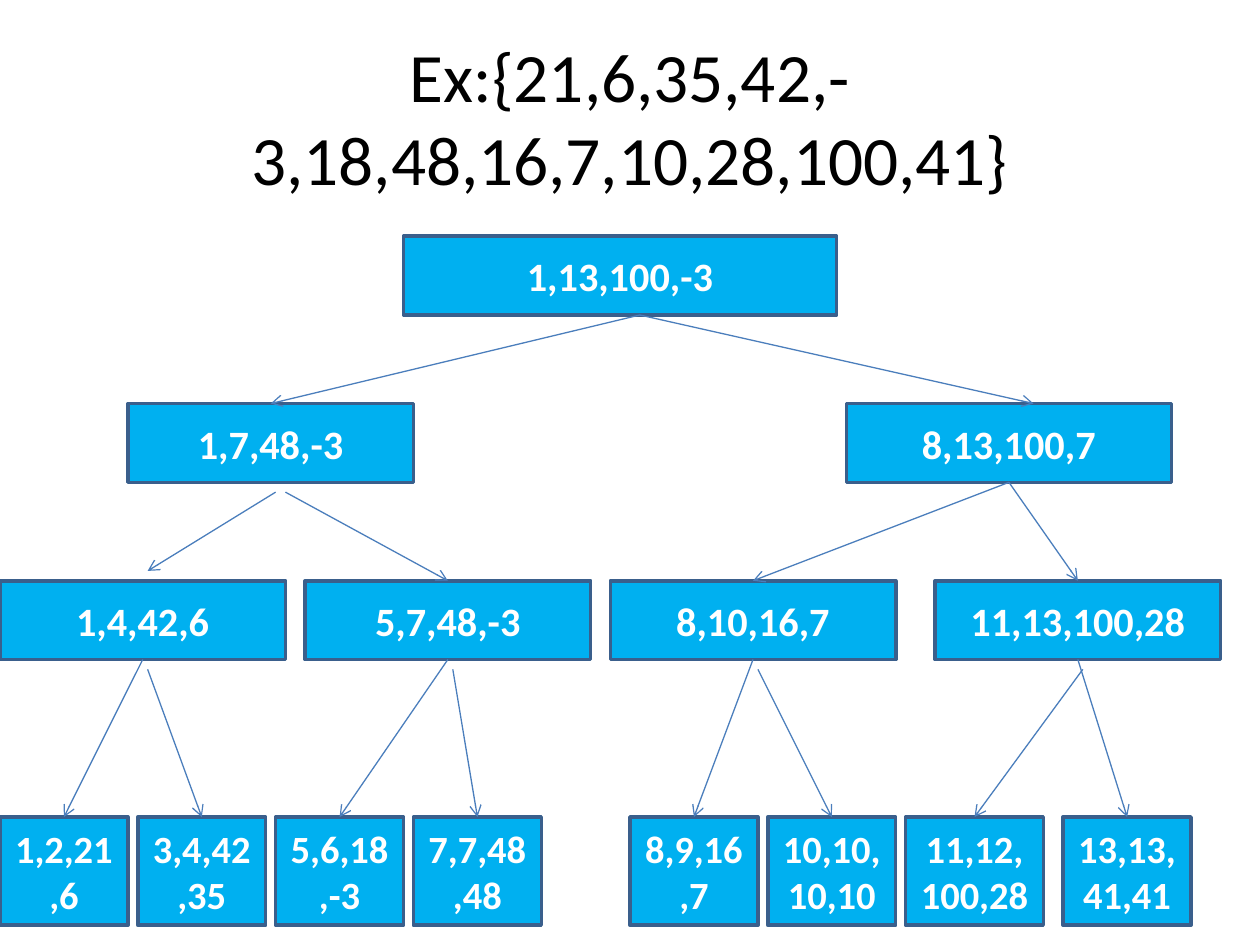
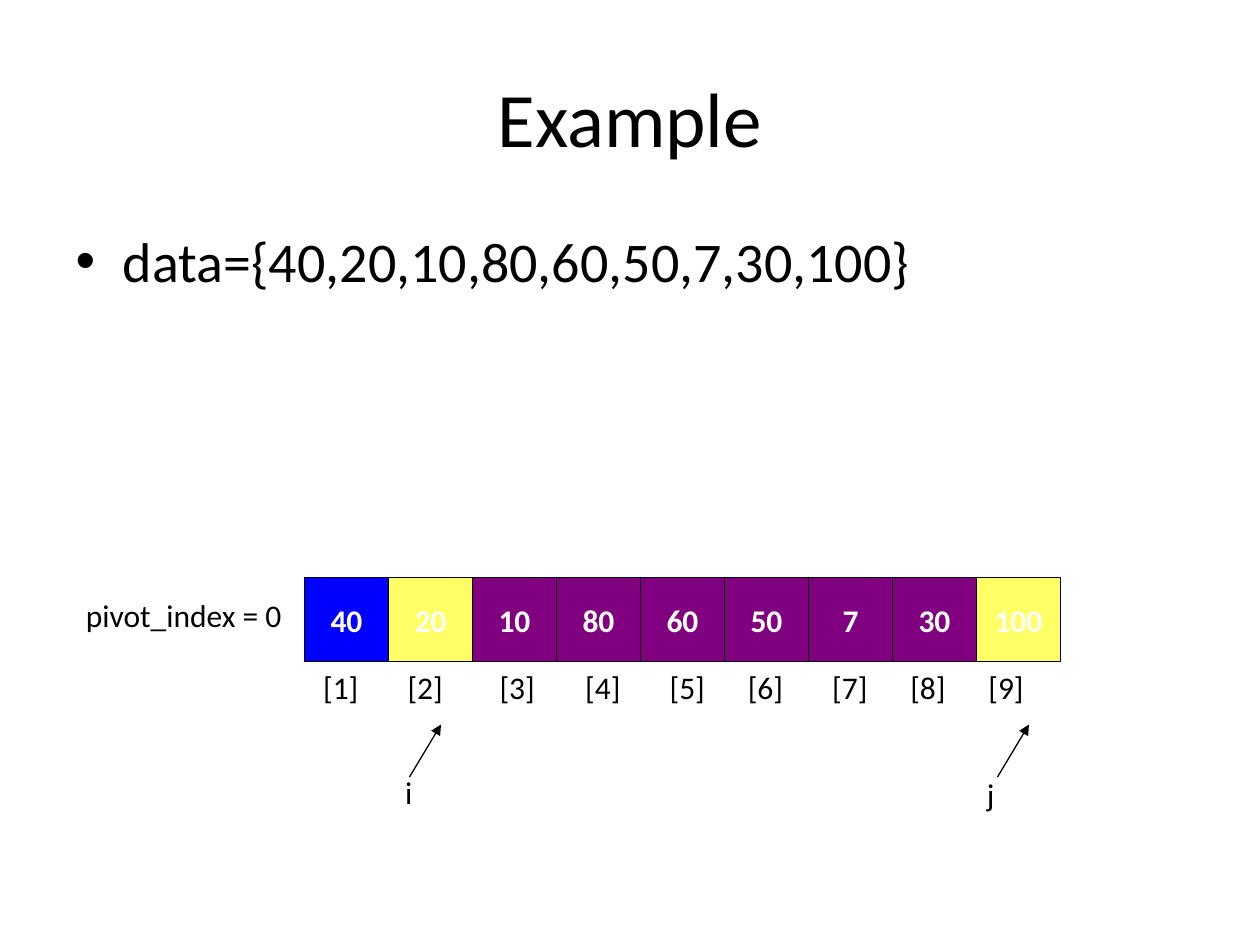
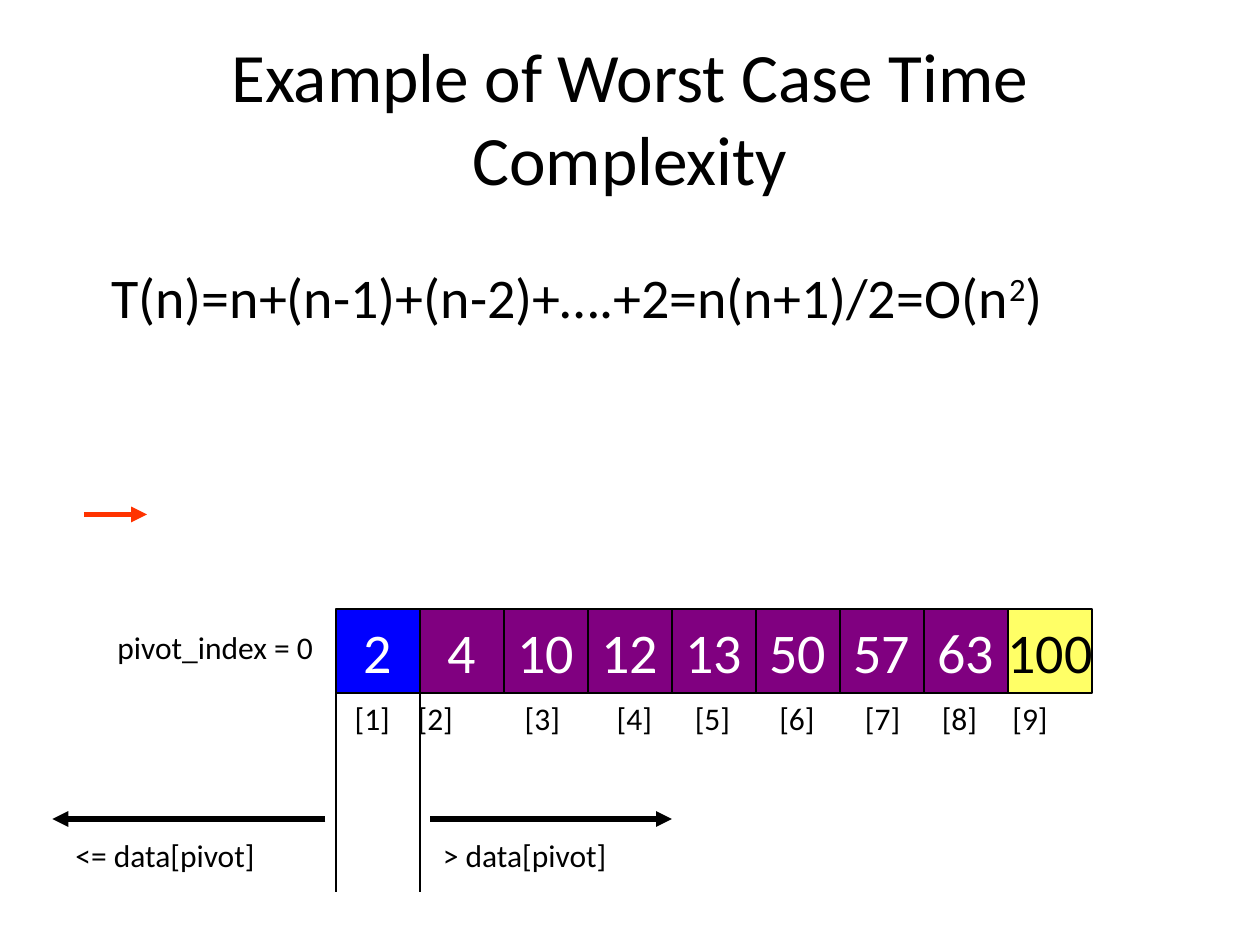
from dataclasses import dataclass

from lxml import etree
from pptx import Presentation
from pptx.dml.color import RGBColor
from pptx.enum.shapes import MSO_CONNECTOR, MSO_SHAPE
from pptx.enum.text import MSO_ANCHOR, MSO_AUTO_SIZE, PP_ALIGN
from pptx.oxml.ns import qn
from pptx.util import Inches, Pt

RECTANGLE = MSO_SHAPE.RECTANGLE
STRAIGHT = MSO_CONNECTOR.STRAIGHT
LEFT, CENTER = PP_ALIGN.LEFT, PP_ALIGN.CENTER
TOP, MIDDLE = MSO_ANCHOR.TOP, MSO_ANCHOR.MIDDLE
TOP_SITE, BOTTOM_SITE = 0, 2
CONTENT_LAYOUT, TITLE_LAYOUT = 1, 5
SLIDE_WIDTH, SLIDE_HEIGHT = 10, 7.5


@dataclass(frozen=True)
class Theme:
    font: str = "Calibri"
    black: str = "000000"
    white: str = "FFFFFF"
    node: str = "00B0F0"
    node_border: str = "3A5F8C"
    edge: str = "4B7EBC"
    pivot: str = "0000FF"
    marked: str = "FFFF66"
    value: str = "800080"
    alert: str = "FF3300"
    title: float = 44
    long_title: float = 39.6
    body: float = 32
    node_text: float = 23
    leaf_text: float = 22
    label: float = 18
    thin: float = 0.75
    border: float = 2
    thick: float = 3


THEME = Theme()


@dataclass(frozen=True)
class Grid:
    """Square grid whose origin sits at left, top; unit is one column in inches."""
    unit: float
    left: float = 0
    top: float = 0

    def point(self, column, row):
        return (Inches(self.left + column * self.unit),
                Inches(self.top + row * self.unit))

    def box(self, column, row, columns, rows):
        return (*self.point(column, row),
                Inches(columns * self.unit), Inches(rows * self.unit))

    def inner(self, column, row):
        return Grid(self.unit, self.left + column * self.unit,
                    self.top + row * self.unit)


TREE_GRID = Grid(SLIDE_WIDTH / 128)
ARRAY_GRID = Grid(SLIDE_WIDTH / 120)
CELL = 8


def write(shape, *runs, size, color=THEME.black, bold=False, align=LEFT,
          anchor=TOP, wrap=True, tabs=()):
    """Fill a shape with one paragraph; a run is text or (text, baseline)."""
    frame = shape.text_frame
    frame.auto_size = MSO_AUTO_SIZE.NONE
    frame.word_wrap = wrap
    frame.vertical_anchor = anchor
    paragraph = frame.paragraphs[0]
    paragraph.alignment = align
    paragraph.space_before = Pt(0)
    if tabs:
        tab_list = etree.SubElement(paragraph._p.get_or_add_pPr(), qn("a:tabLst"))
        for position in tabs:
            etree.SubElement(tab_list, qn("a:tab"), pos=str(Inches(position)), algn="l")
    for item in runs:
        text, baseline = (item, None) if isinstance(item, str) else item
        run = paragraph.add_run()
        run.text = text
        run.font.name = THEME.font
        run.font.size = Pt(size)
        run.font.bold = bold
        run.font.color.rgb = RGBColor.from_string(color)
        if baseline:
            run._r.get_or_add_rPr().set("baseline", str(baseline * 1000))


def add_label(slide, box, *runs, **text_format):
    write(slide.shapes.add_textbox(*box), *runs, **text_format)


def add_box(slide, box, text, fill, border, border_width, **text_format):
    shape = slide.shapes.add_shape(RECTANGLE, *box)
    shape.shadow.inherit = False
    shape.fill.solid()
    shape.fill.fore_color.rgb = RGBColor.from_string(fill)
    shape.line.color.rgb = RGBColor.from_string(border)
    shape.line.width = Pt(border_width)
    write(shape, text, align=CENTER, anchor=MIDDLE, **text_format)
    return shape


def add_line(slide, start, end, color=THEME.black, width=THEME.thin, head=None):
    line = slide.shapes.add_connector(STRAIGHT, *start, *end)
    line.line.color.rgb = RGBColor.from_string(color)
    line.line.width = Pt(width)
    if head:
        etree.SubElement(line.line._get_or_add_ln(), qn("a:tailEnd"), type=head)
    etree.SubElement(line._element.spPr, qn("a:effectLst"))
    return line


def add_titled_slide(presentation, title, size, layout=TITLE_LAYOUT):
    slide = presentation.slides.add_slide(presentation.slide_layouts[layout])
    placeholder = slide.shapes.title
    placeholder.left, placeholder.top = Inches(0.05 * SLIDE_WIDTH), Inches(0.04 * SLIDE_HEIGHT)
    placeholder.width, placeholder.height = Inches(0.9 * SLIDE_WIDTH), Inches(SLIDE_HEIGHT / 6)
    write(placeholder, title, size=size, align=CENTER, anchor=MIDDLE)
    return slide


# Each level: row, rows, text size, then (text, column, columns) for its nodes.
TREE_LEVELS = [
    (24, 8, THEME.node_text, [("1,13,100,-3", 41, 44)]),
    (41, 8, THEME.node_text, [("1,7,48,-3", 13, 29), ("8,13,100,7", 86, 33)]),
    (59, 8, THEME.node_text, [("1,4,42,6", 0, 29), ("5,7,48,-3", 31, 29),
                              ("8,10,16,7", 62, 29), ("11,13,100,28", 95, 29)]),
    (83, 11, THEME.leaf_text, [("1,2,21,6", 0, 13), ("3,4,42,35", 14, 13),
                               ("5,6,18,-3", 28, 13), ("7,7,48,48", 42, 13),
                               ("8,9,16,7", 64, 13), ("10,10,10,10", 78, 13),
                               ("11,12,100,28", 92, 14), ("13,13,41,41", 108, 13)]),
]
JOINED = (0, 0)
BELOW = (0.5, 1)
# For each child, level by level: how far its edge starts and ends from the sides' middles.
EDGE_SHIFTS = [
    [((2, 0), JOINED), ((2, 0), (2.5, 0))],
    [(BELOW, (0.5, -1)), ((1.5, 1), JOINED), (JOINED, JOINED), (JOINED, JOINED)],
    [(JOINED, JOINED), (BELOW, JOINED)] * 3 + [(BELOW, JOINED), (JOINED, JOINED)],
]


def add_edge(slide, grid, parent, child, shifts):
    """Join parent (shape, column, row) to child, unless the ends are shifted."""
    ends = [grid.point(column + across, row + down)
            for (_, column, row), (across, down) in zip((parent, child), shifts)]
    edge = add_line(slide, *ends, color=THEME.edge, head="arrow")
    if shifts[0] == JOINED:
        edge.begin_connect(parent[0], BOTTOM_SITE)
    if shifts[1] == JOINED:
        edge.end_connect(child[0], TOP_SITE)


def add_tree(slide, grid):
    parents = []
    for level, (row, rows, size, nodes) in enumerate(TREE_LEVELS):
        next_parents = []
        for index, (text, column, columns) in enumerate(nodes):
            shape = add_box(slide, grid.box(column, row, columns, rows), text,
                            THEME.node, THEME.node_border, THEME.border,
                            size=size, color=THEME.white, bold=True)
            middle = column + columns / 2
            if parents:
                add_edge(slide, grid, parents[index // 2], (shape, middle, row),
                         EDGE_SHIFTS[level - 1][index])
            next_parents.append((shape, middle, row + rows))
        parents = next_parents


def add_array(slide, grid, values, marked, index_tabs, marked_color=THEME.white,
              **text_format):
    """Draw the cells from the grid's origin, the pivot caption and the indices."""
    for index, value in enumerate(values):
        is_marked = index in marked
        fill = THEME.pivot if index == 0 else THEME.marked if is_marked else THEME.value
        add_box(slide, grid.box(index * CELL, 0, CELL, CELL), str(value),
                fill, THEME.black, THEME.thin, wrap=False,
                color=marked_color if is_marked else THEME.white, **text_format)
    add_label(slide, grid.box(-22, 1.2, 21.5, 4.8), "pivot_index = 0",
              size=THEME.label, wrap=False)
    indices = "\t".join(f"[{number}]" for number in range(1, len(values) + 1))
    add_label(slide, grid.box(0.6, CELL, 72, 4.8), indices,
              size=THEME.label, tabs=index_tabs)


def build_tree_slide(presentation):
    slide = add_titled_slide(presentation, "Ex:{21,6,35,42,-3,18,48,16,7,10,28,100,41}",
                             THEME.long_title)
    add_tree(slide, TREE_GRID)


def build_partition_slide(presentation):
    slide = add_titled_slide(presentation, "Example", THEME.title, CONTENT_LAYOUT)
    body = slide.placeholders[1]
    body.left, body.top, body.width, body.height = ARRAY_GRID.box(6, 21, 108, 59.4)
    write(body, "data={40,20,10,80,60,50,7,30,100}", size=THEME.body)

    array = ARRAY_GRID.inner(29, 55)
    add_array(slide, array, [40, 20, 10, 80, 60, 50, 7, 30, 100], marked=(1, 8),
              index_tabs=(0.67, 1.4, 2.08, 2.75, 3.37, 4.04, 4.66, 5.28),
              size=THEME.label, bold=True)
    for name, column, row, columns in (("i", 8.4, 18, 29.5), ("j", 63.8, 18.2, 21.2)):
        add_label(slide, array.box(column, row, columns, 4.8), name, size=THEME.label)
    for column in (10, 66):
        add_line(slide, array.point(column, 19), array.point(column + 3, 14),
                 head="triangle")


def build_worst_case_slide(presentation):
    slide = add_titled_slide(presentation, "Example of Worst Case Time Complexity",
                             THEME.long_title)
    add_label(slide, ARRAY_GRID.box(9.4, 24.4, 105, 7.7),
              "T(n)=n+(n-1)+(n-2)+….+2=n(n+1)/2=O(n", ("2", 30), ")", size=THEME.body)
    add_line(slide, ARRAY_GRID.point(8, 49), ARRAY_GRID.point(14, 49),
             color=THEME.alert, width=THEME.thick, head="triangle")

    array = ARRAY_GRID.inner(32, 58)
    add_array(slide, array, [2, 4, 10, 12, 13, 50, 57, 63, 100], marked=(8,),
              index_tabs=(0.5, 1.35, 2.08, 2.7, 3.37, 4.05, 4.66, 5.22),
              marked_color=THEME.black, size=THEME.body)
    for column in (0, CELL):
        add_line(slide, array.point(column, 0), array.point(column, 27))
    for text, text_column, columns, start, end in (
            ("<= data[pivot]", -26, 25.4, -1, -27),
            ("> data[pivot]", 9, 23.2, 9, 32)):
        add_line(slide, array.point(start, 20), array.point(end, 20),
                 width=THEME.thick, head="triangle")
        add_label(slide, array.box(text_column, 21, columns, 6), text,
                  size=THEME.label, wrap=False)


def main():
    presentation = Presentation()
    presentation.slide_width = Inches(SLIDE_WIDTH)
    presentation.slide_height = Inches(SLIDE_HEIGHT)
    build_tree_slide(presentation)
    build_partition_slide(presentation)
    build_worst_case_slide(presentation)
    presentation.save("out.pptx")


if __name__ == "__main__":
    main()
